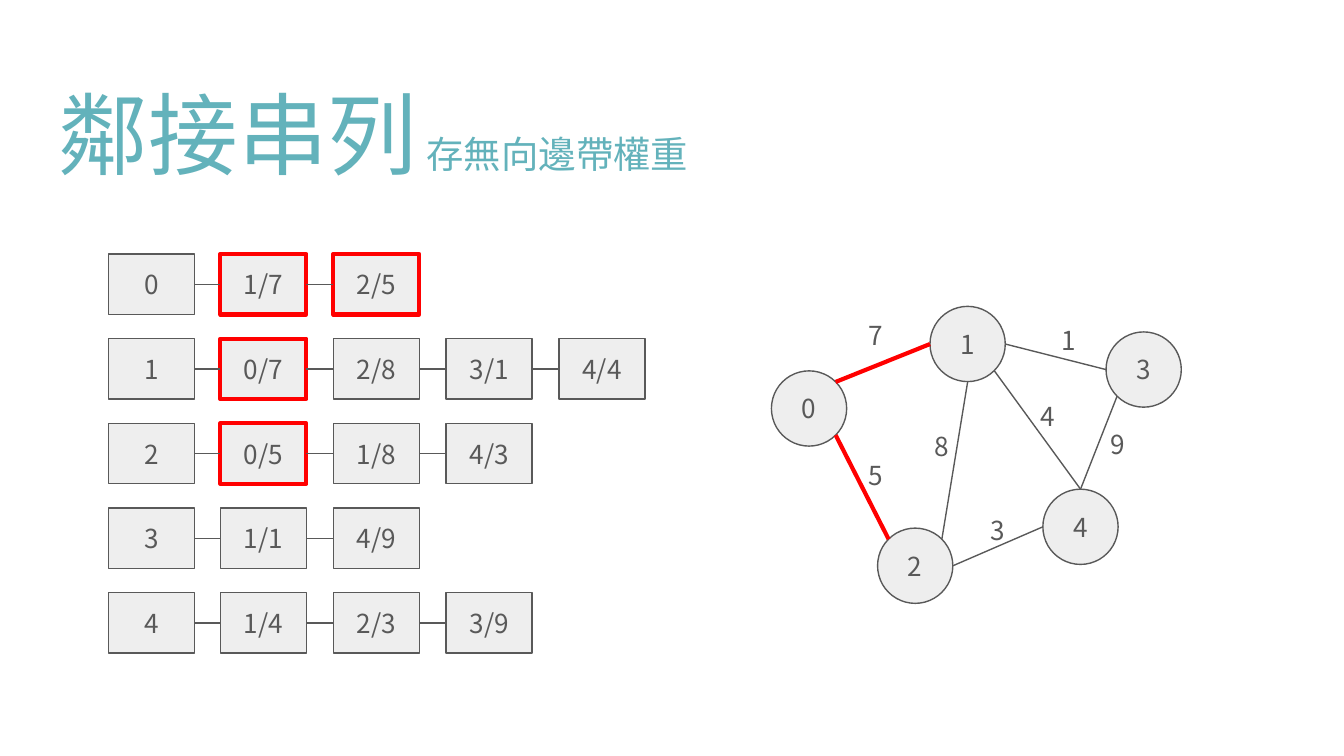
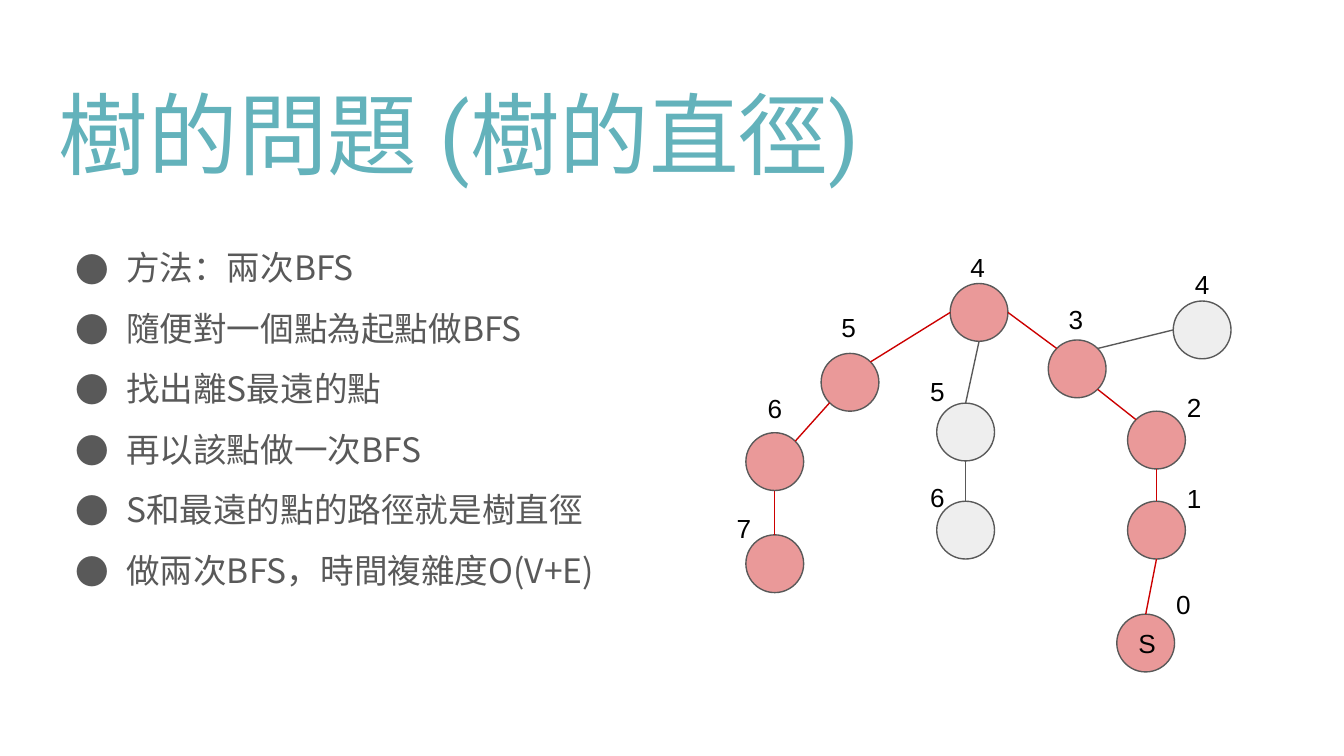
from dataclasses import dataclass, replace
from math import sqrt

from lxml.etree import SubElement
from pptx import Presentation
from pptx.dml.color import RGBColor
from pptx.enum.shapes import MSO_CONNECTOR, MSO_SHAPE
from pptx.enum.text import MSO_ANCHOR, PP_ALIGN
from pptx.oxml.ns import qn
from pptx.util import Emu, Pt

PX = 9144  # one px is a hundredth of an inch

COLORS = {
    "title": "63B2BB",
    "ink": "595959",
    "box": "EEEEEE",
    "marked": "FF0000",
    "path": "CC0000",
    "visited": "EA9999",
    "black": "000000",
    "white": "FFFFFF",
}


@dataclass(frozen=True)
class TextStyle:
    font: str
    size: int
    color: str
    align: PP_ALIGN = PP_ALIGN.LEFT
    anchor: MSO_ANCHOR = MSO_ANCHOR.TOP


@dataclass(frozen=True)
class Box:
    left: int
    top: int
    width: int
    height: int


@dataclass(frozen=True)
class Node:
    left: int
    top: int
    text: str = ""
    fill: str = "box"


@dataclass(frozen=True)
class Edge:
    start: str
    start_side: str
    end: str
    end_side: str
    color: str = "ink"
    weight: float = 0.75


@dataclass(frozen=True)
class Label:
    text: str
    left: int
    top: int


TITLE = TextStyle("Roboto", 48, "title")
SUBTITLE = replace(TITLE, size=20)
BODY = TextStyle("Noto Sans CJK TC", 18, "ink")
WEIGHT = TextStyle("Noto Sans CJK TC", 14, "ink", PP_ALIGN.CENTER)
CELL = replace(WEIGHT, anchor=MSO_ANCHOR.MIDDLE)
DISTANCE = TextStyle("Arial", 14, "black", PP_ALIGN.CENTER)
START = TextStyle("Arial", 14, "black", anchor=MSO_ANCHOR.MIDDLE)

DIAGONAL = sqrt(0.5)
SIDES = {
    "N": (0, -1), "S": (0, 1), "W": (-1, 0), "E": (1, 0),
    "NW": (-DIAGONAL, -DIAGONAL), "NE": (DIAGONAL, -DIAGONAL),
    "SW": (-DIAGONAL, DIAGONAL), "SE": (DIAGONAL, DIAGONAL),
}


# Shared drawing
def px(value: float) -> Emu:
    return Emu(round(value * PX))


def rgb(name: str) -> RGBColor:
    return RGBColor.from_string(COLORS[name])


def place(box: Box) -> tuple:
    return px(box.left), px(box.top), px(box.width), px(box.height)


def add_run(paragraph, text: str, style: TextStyle) -> None:
    run = paragraph.add_run()
    run.text = text
    for name, value in {"name": style.font, "size": Pt(style.size)}.items():
        setattr(run.font, name, value)
    run.font.color.rgb = rgb(style.color)
    SubElement(run.font._element, qn("a:ea"), typeface=style.font)


def prepare_frame(shape, style: TextStyle):
    frame = shape.text_frame
    settings = {"word_wrap": True, "vertical_anchor": style.anchor}
    settings |= {f"margin_{side}": px(10) for side in ("left", "right", "top", "bottom")}
    for name, value in settings.items():
        setattr(frame, name, value)
    frame.paragraphs[0].alignment = style.align
    return frame


def add_text(slide, box: Box, *runs: tuple[str, TextStyle]):
    shape = slide.shapes.add_textbox(*place(box))
    frame = prepare_frame(shape, runs[0][1])
    for text, style in runs:
        add_run(frame.paragraphs[0], text, style)
    return shape


def add_box(slide, kind: MSO_SHAPE, box: Box, text: str, style: TextStyle,
            fill: str | None = "box", line: str = "ink", weight: float = 0.75):
    shape = slide.shapes.add_shape(kind, *place(box))
    shape.shadow.inherit = False
    if fill:
        shape.fill.solid()
        shape.fill.fore_color.rgb = rgb(fill)
    else:
        shape.fill.background()
    shape.line.color.rgb = rgb(line)
    shape.line.width = Pt(weight)
    frame = prepare_frame(shape, style)
    if text:
        add_run(frame.paragraphs[0], text, style)
    return shape


def add_line(slide, start: tuple, end: tuple, color: str = "ink", weight: float = 0.75):
    connector = slide.shapes.add_connector(
        MSO_CONNECTOR.STRAIGHT, *(px(value) for value in start + end))
    connector.line.color.rgb = rgb(color)
    connector.line.width = Pt(weight)
    SubElement(connector._element.spPr, qn("a:effectLst"))
    return connector


def add_title(slide, *runs: tuple[str, TextStyle]) -> None:
    add_text(slide, Box(34, 49, 932, 99), *runs)


def add_graph(slide, nodes: dict[str, Node], edges: list[Edge], size: int,
              style: TextStyle) -> None:
    def site(name: str, side: str) -> tuple:
        radius = size / 2
        horizontal, vertical = SIDES[side]
        return (nodes[name].left + radius * (1 + horizontal),
                nodes[name].top + radius * (1 + vertical))

    for node in nodes.values():
        add_box(slide, MSO_SHAPE.OVAL, Box(node.left, node.top, size, size),
                node.text, style, node.fill)
    for edge in edges:
        add_line(slide, site(edge.start, edge.start_side),
                 site(edge.end, edge.end_side), edge.color, edge.weight)


def add_labels(slide, labels: list[Label], width: int, height: int,
               style: TextStyle) -> None:
    for label in labels:
        add_text(slide, Box(label.left, label.top, width, height), (label.text, style))


# Slide 1: adjacency lists beside their weighted graph
LISTS = [
    ["0", "1/7", "2/5"],
    ["1", "0/7", "2/8", "3/1", "4/4"],
    ["2", "0/5", "1/8", "4/3"],
    ["3", "1/1", "4/9"],
    ["4", "1/4", "2/3", "3/9"],
]
MARKED_CELLS = {(0, 1), (0, 2), (1, 1), (2, 1)}

WEIGHTED_NODES = {
    "0": Node(574, 276, "0"),
    "2": Node(653, 393, "2"),
    "4": Node(776, 364, "4"),
    "1": Node(692, 228, "1"),
    "3": Node(823, 247, "3"),
}
WEIGHTED_EDGES = [
    Edge("0", "NE", "1", "W", "marked", 2.25),
    Edge("1", "SE", "4", "N"),
    Edge("1", "S", "2", "NE"),
    Edge("1", "E", "3", "W"),
    Edge("4", "N", "3", "SW"),
    Edge("0", "SE", "2", "NW", "marked", 2.25),
    Edge("2", "E", "4", "W"),
]
EDGE_WEIGHTS = [
    Label("7", 616, 228), Label("5", 616, 332), Label("8", 665, 310),
    Label("3", 707, 373), Label("4", 744, 288), Label("1", 760, 231),
    Label("9", 796, 309),
]


def add_adjacency_lists(slide) -> None:
    for row, entries in enumerate(LISTS):
        cells = []
        for column, text in enumerate(entries):
            marked = (row, column) in MARKED_CELLS
            box = Box(81 + 335 * column // 4, 189 + 63 * row, 64, 45)
            cells.append(add_box(slide, MSO_SHAPE.RECTANGLE, box, text, CELL,
                                 line="marked" if marked else "ink",
                                 weight=2.25 if marked else 0.75))
        for left, right in zip(cells, cells[1:]):
            connector = add_line(slide, (0, 0), (0, 0))
            connector.begin_connect(left, 3)
            connector.end_connect(right, 1)


def build_adjacency_slide(slide) -> None:
    add_title(slide, ("鄰接串列", TITLE), (" 存無向邊帶權重", SUBTITLE))
    add_adjacency_lists(slide)
    add_graph(slide, WEIGHTED_NODES, WEIGHTED_EDGES, 56, CELL)
    add_labels(slide, EDGE_WEIGHTS, 71, 48, WEIGHT)


# Slide 2: tree diameter steps beside the tree
STEPS = [
    "方法：兩次BFS",
    "隨便對一個點為起點做BFS",
    "找出離S最遠的點",
    "再以該點做一次BFS",
    "S和最遠的點的路徑就是樹直徑",
    "做兩次BFS，時間複雜度O(V+E)",
]
TREE_NODES = {
    "left 5": Node(611, 263, fill="visited"),
    "middle 5": Node(697, 300),
    "right 3": Node(780, 253, fill="visited"),
    "right 1": Node(839, 373, fill="visited"),
    "right 2": Node(839, 306, fill="visited"),
    "start": Node(831, 457, "S", "visited"),
    "left 6": Node(555, 322, fill="visited"),
    "left 7": Node(555, 398, fill="visited"),
    "middle 6": Node(697, 373),
    "top": Node(707, 211, fill="visited"),
    "right 4": Node(873, 224),
}
TREE_EDGES = [
    Edge("left 7", "N", "left 6", "S", "path"),
    Edge("left 6", "NE", "left 5", "SW", "path"),
    Edge("left 5", "NE", "top", "W", "path"),
    Edge("top", "E", "right 3", "NW", "path"),
    Edge("right 3", "SE", "right 2", "NW", "path"),
    Edge("top", "S", "middle 5", "N"),
    Edge("middle 5", "S", "middle 6", "N"),
    Edge("right 3", "NE", "right 4", "W"),
    Edge("right 2", "S", "right 1", "N", "path"),
    Edge("right 1", "S", "start", "N", "path"),
]
DISTANCES = [
    Label("7", 525, 371), Label("4", 699, 177), Label("5", 603, 222),
    Label("6", 548, 282), Label("5", 669, 269), Label("6", 669, 348),
    Label("3", 772, 216), Label("4", 866, 190), Label("2", 860, 281),
    Label("0", 852, 428),
]


def add_bullets(slide, box: Box, items: list[str], style: TextStyle) -> None:
    frame = prepare_frame(slide.shapes.add_textbox(*place(box)), style)
    for index, text in enumerate(items):
        paragraph = frame.add_paragraph() if index else frame.paragraphs[0]
        paragraph.line_spacing = 1.5
        properties = paragraph._p.get_or_add_pPr()
        properties.set("marL", str(px(50)))
        properties.set("indent", str(px(-37.5)))
        bullet_color = SubElement(properties, qn("a:buClr"))
        SubElement(bullet_color, qn("a:srgbClr"), val=COLORS[style.color])
        SubElement(properties, qn("a:buFont"), typeface=style.font)
        SubElement(properties, qn("a:buChar"), char="●")
        add_run(paragraph, text, style)


def build_diameter_slide(slide) -> None:
    add_bullets(slide, Box(34, 159, 932, 340), STEPS, BODY)
    add_box(slide, MSO_SHAPE.RECTANGLE, Box(860, 349, 57, 47), "1", DISTANCE,
            fill=None, line="white")
    add_title(slide, ("樹的問題 (樹的直徑)", TITLE))
    add_graph(slide, TREE_NODES, TREE_EDGES, 43, START)
    add_labels(slide, DISTANCES, 57, 47, DISTANCE)


def main() -> None:
    presentation = Presentation()
    presentation.slide_width = px(1000)
    presentation.slide_height = px(562.5)
    for build in (build_adjacency_slide, build_diameter_slide):
        build(presentation.slides.add_slide(presentation.slide_layouts[6]))
    presentation.save("out.pptx")


if __name__ == "__main__":
    main()
